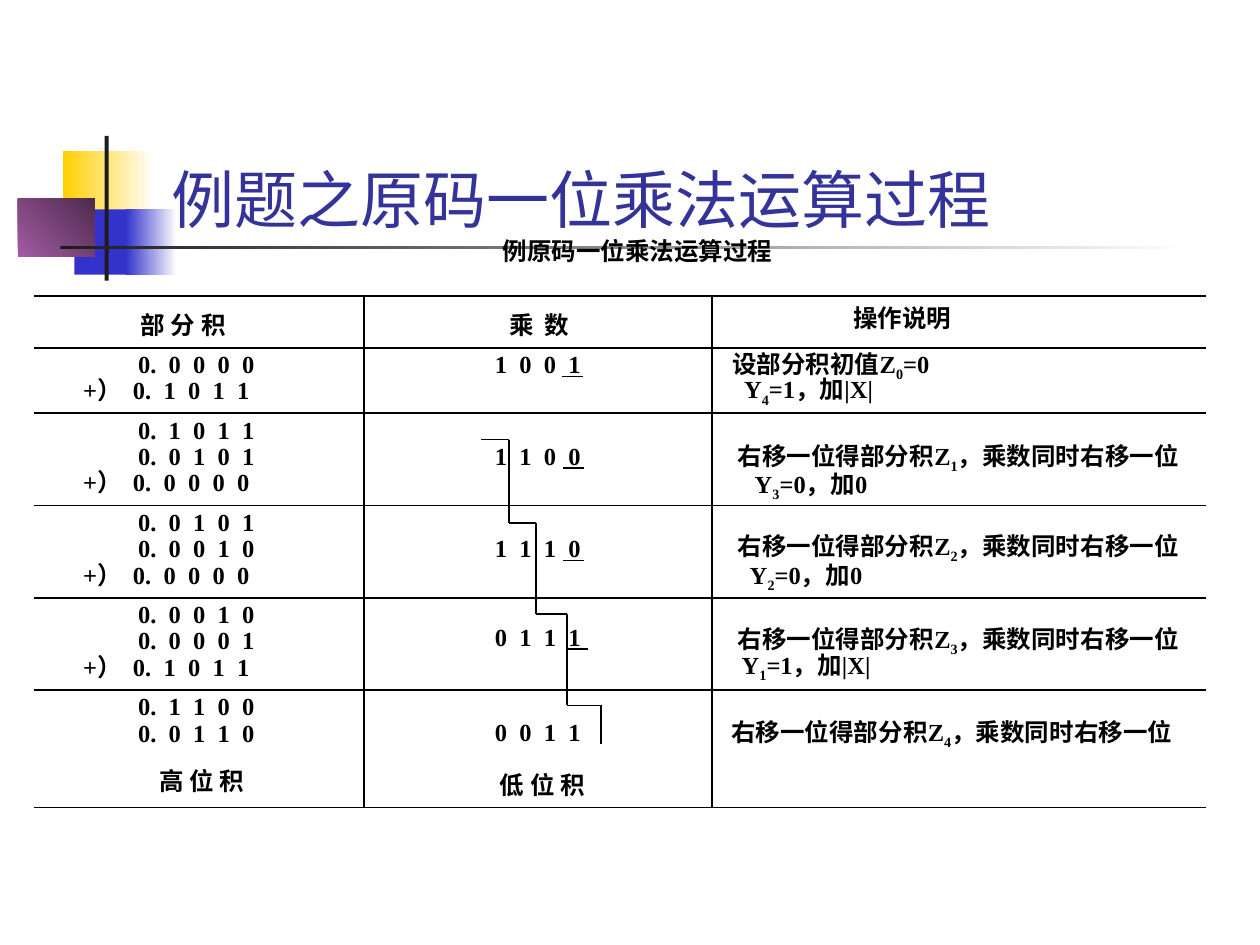
from dataclasses import dataclass
from itertools import pairwise

from lxml import etree
from pptx import Presentation
from pptx import util as u
from pptx.dml.color import RGBColor
from pptx.enum import shapes, text
from pptx.oxml.ns import qn

COLORS = {
    "ink": "000000", "title": "333399", "yellow": "FFCF01", "white": "FFFFFF",
    "blue": "3333CC", "purple": "A45CA4", "plum": "4C2B4C", "charcoal": "1C1C1C",
}
TEXT_FONT, TITLE_FONT = "Times New Roman", "Lato"
TEXT_SIZE = u.Pt(14)

TABLE_LEFT, TABLE_RIGHT = 0.69, 24.31
TABLE_TOP, TABLE_BOTTOM = 5.97, 16.28
COLUMN_RULES = (7.34, 14.35)
FIRST_STEP, SECOND_STEP, STEP_HEIGHT = 7.01, 8.33, 1.86
STEP_TOPS = [FIRST_STEP] + [SECOND_STEP + STEP_HEIGHT * i for i in range(4)]
LINE_PITCH = 0.53
STAIRCASE = (
    (9.7, 8.86), (10.26, 8.86), (10.26, 10.54), (10.8, 10.54), (10.8, 12.38),
    (11.43, 12.38), (11.43, 14.22), (12.12, 14.22), (12.12, 14.99),
)


@dataclass
class Block:
    """A decorative rectangle; two colours make a gradient."""
    left: float
    top: float
    width: float
    height: float
    colors: tuple[str, ...]
    angle: float = 0


@dataclass
class Label:
    """Centred text; the character after an underscore is a subscript."""
    text: str
    left: float
    top: float
    width: float
    height: float = 0.6


@dataclass
class Step:
    """One row of the multiplication."""
    sums: tuple[str, ...]
    addend: str
    multiplier: str
    multiplier_top: float
    underline_left: float | None
    notes: tuple[Label, ...]


BLOCKS = [
    Block(1.27, 3.05, 1.85, 1.32, ("yellow", "white")),
    Block(1.5, 4.22, 1.17, 1.32, ("blue",)),
    Block(2.54, 4.22, 1.02, 1.32, ("blue", "white")),
    Block(0.36, 4.01, 1.55, 1.17, ("purple", "plum"), 45),
    Block(2.11, 2.74, 0.08, 2.92, ("charcoal",)),
    Block(1.22, 4.95, 22.86, 0.08, ("charcoal", "white")),
]
CAPTIONS = [
    Label("部 分 积", 2.54, 6.22, 2.31),
    Label("乘  数", 9.55, 6.22, 2.64),
    Label("操作说明", 16.87, 6.07, 2.64),
    Label("高 位 积", 2.92, 15.42, 2.31),
    Label("低 位 积", 9.78, 15.49, 2.31),
    Label("例原码一位乘法运算过程", 7.85, 4.72, 10.01, 0.94),
]


def shift_note(index: int, left: float, top: float) -> Label:
    return Label(f"右移一位得部分积Z_{index}，乘数同时右移一位", left, top, 9.22)


def add_note(index: int, action: str, left: float, top: float) -> Label:
    return Label(f"Y_{index}={action}", left, top, 3.18)


STEPS = [
    Step(("00000",), "01011", "1001", 7.01, 11.33,
         (Label("设部分积初值Z_0=0", 14.35, 7.01, 4.8),
          add_note(4, "1，加|X|", 14.71, 7.52))),
    Step(("01011", "00101"), "00000", "1100", 8.86, 11.35,
         (shift_note(1, 14.71, 8.86), add_note(3, "0，加0", 14.76, 9.42))),
    Step(("00101", "00010"), "00000", "1110", 10.72, 11.35,
         (shift_note(2, 14.71, 10.67), add_note(2, "0，加0", 14.66, 11.25))),
    Step(("00010", "00001"), "01011", "0111", 12.5, 11.43,
         (shift_note(3, 14.71, 12.55), add_note(1, "1，加|X|", 14.66, 13.08))),
    Step(("01100", "00110"), "", "0011", 14.43, None,
         (shift_note(4, 14.58, 14.43),)),
]


def color(name: str) -> RGBColor:
    return RGBColor.from_string(COLORS[name])


def spaced(digits: str) -> str:
    return "  ".join(digits)


def fraction(digits: str) -> str:
    """Five digits, with a point after the first one."""
    return f"{digits[0]}.  {spaced(digits[1:])}"


def draw_block(slide, block: Block) -> None:
    shape = slide.shapes.add_shape(
        shapes.MSO_SHAPE.RECTANGLE,
        u.Cm(block.left), u.Cm(block.top), u.Cm(block.width), u.Cm(block.height))
    shape.shadow.inherit = False
    shape.line.fill.background()
    if len(block.colors) == 1:
        shape.fill.solid()
        shape.fill.fore_color.rgb = color(block.colors[0])
        return
    shape.fill.gradient()
    shape.fill.gradient_angle = block.angle
    for stop, name in zip(shape.fill.gradient_stops, block.colors):
        stop.color.rgb = color(name)


def draw_line(slide, start: tuple[float, float], end: tuple[float, float]) -> None:
    line = slide.shapes.add_connector(
        shapes.MSO_CONNECTOR.STRAIGHT, *(u.Cm(value) for value in start + end))
    line.line.color.rgb = color("ink")
    line.line.width = u.Pt(1)
    etree.SubElement(line._element.spPr, qn("a:effectLst"))


def draw_label(slide, label: Label) -> None:
    box = slide.shapes.add_textbox(
        u.Cm(label.left), u.Cm(label.top), u.Cm(label.width), u.Cm(label.height))
    frame = box.text_frame
    frame.word_wrap = True
    frame.margin_left = frame.margin_right = u.Cm(0.03)
    frame.margin_top = frame.margin_bottom = u.Cm(0.03)
    base, _, rest = label.text.partition("_")
    frame.text = base
    paragraph = frame.paragraphs[0]
    paragraph.alignment = text.PP_ALIGN.CENTER
    if rest:
        subscript = paragraph.add_run()
        subscript.text = rest[0]
        subscript.font._element.set("baseline", "-25000")
        if rest[1:]:
            paragraph.add_run().text = rest[1:]
    for run in paragraph.runs:
        run.font.name = TEXT_FONT
        run.font.size = TEXT_SIZE
        run.font.bold = True
        run.font.color.rgb = color("ink")


def draw_step(slide, step: Step, top: float) -> None:
    for i, digits in enumerate(step.sums):
        draw_label(slide, Label(fraction(digits), 2.18, top + LINE_PITCH * i, 3.56))
    if step.addend:
        addend_top = top + LINE_PITCH * len(step.sums)
        draw_label(slide, Label(f"+）  {fraction(step.addend)}", 1.07, addend_top, 4.57))
    draw_label(slide, Label(spaced(step.multiplier), 9.55, step.multiplier_top, 2.59))
    if step.underline_left is not None:
        y = step.multiplier_top + 0.58
        draw_line(slide, (step.underline_left, y), (step.underline_left + 0.43, y))
    for note in step.notes:
        draw_label(slide, note)


def draw_title(slide) -> None:
    title = slide.shapes.title
    title.left, title.top = u.Cm(3.2), u.Cm(1.7)
    title.width, title.height = u.Cm(21.64), u.Cm(3.18)
    frame = title.text_frame
    frame.text = "例题之原码一位乘法运算过程"
    frame.auto_size = text.MSO_AUTO_SIZE.NONE
    frame.vertical_anchor = text.MSO_ANCHOR.BOTTOM
    paragraph = frame.paragraphs[0]
    paragraph.alignment = text.PP_ALIGN.LEFT
    font = paragraph.runs[0].font
    font.name, font.size = TITLE_FONT, u.Pt(36)
    font.color.rgb = color("title")


def main() -> None:
    presentation = Presentation()
    presentation.slide_width, presentation.slide_height = u.Cm(25.4), u.Cm(19.05)
    slide = presentation.slides.add_slide(presentation.slide_layouts[5])
    for block in BLOCKS:
        draw_block(slide, block)
    draw_title(slide)
    for y in (TABLE_TOP, *STEP_TOPS, TABLE_BOTTOM):
        draw_line(slide, (TABLE_LEFT, y), (TABLE_RIGHT, y))
    for x in COLUMN_RULES:
        draw_line(slide, (x, TABLE_TOP), (x, TABLE_BOTTOM))
    for start, end in pairwise(STAIRCASE):
        draw_line(slide, start, end)
    for step, top in zip(STEPS, STEP_TOPS):
        draw_step(slide, step, top)
    for caption in CAPTIONS:
        draw_label(slide, caption)
    presentation.save("out.pptx")


if __name__ == "__main__":
    main()
